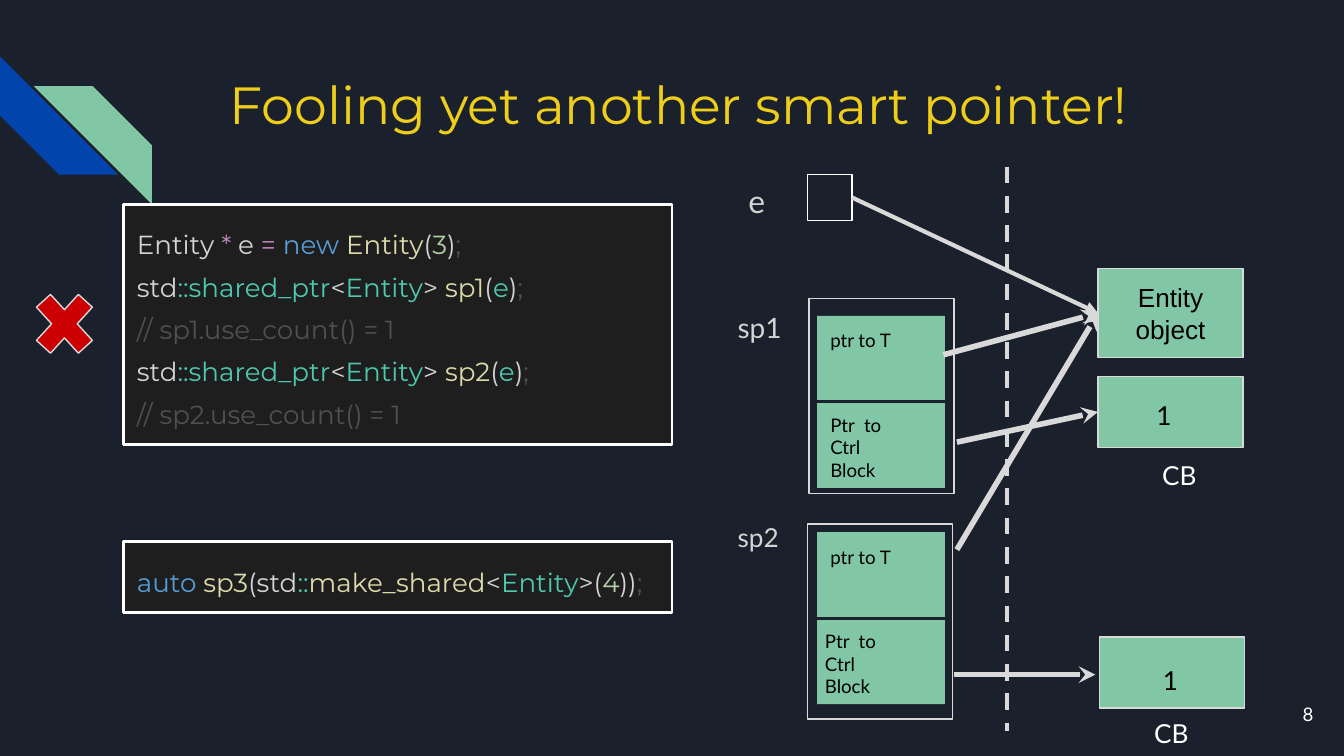
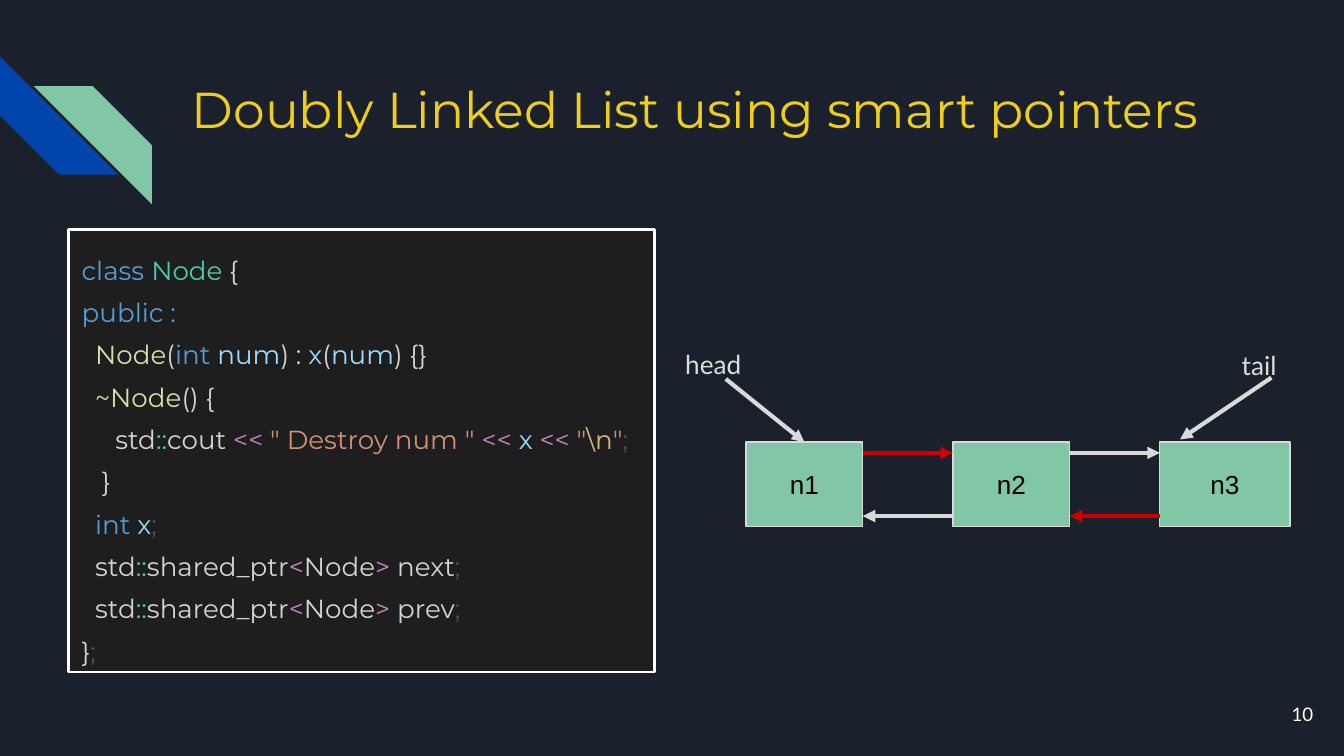
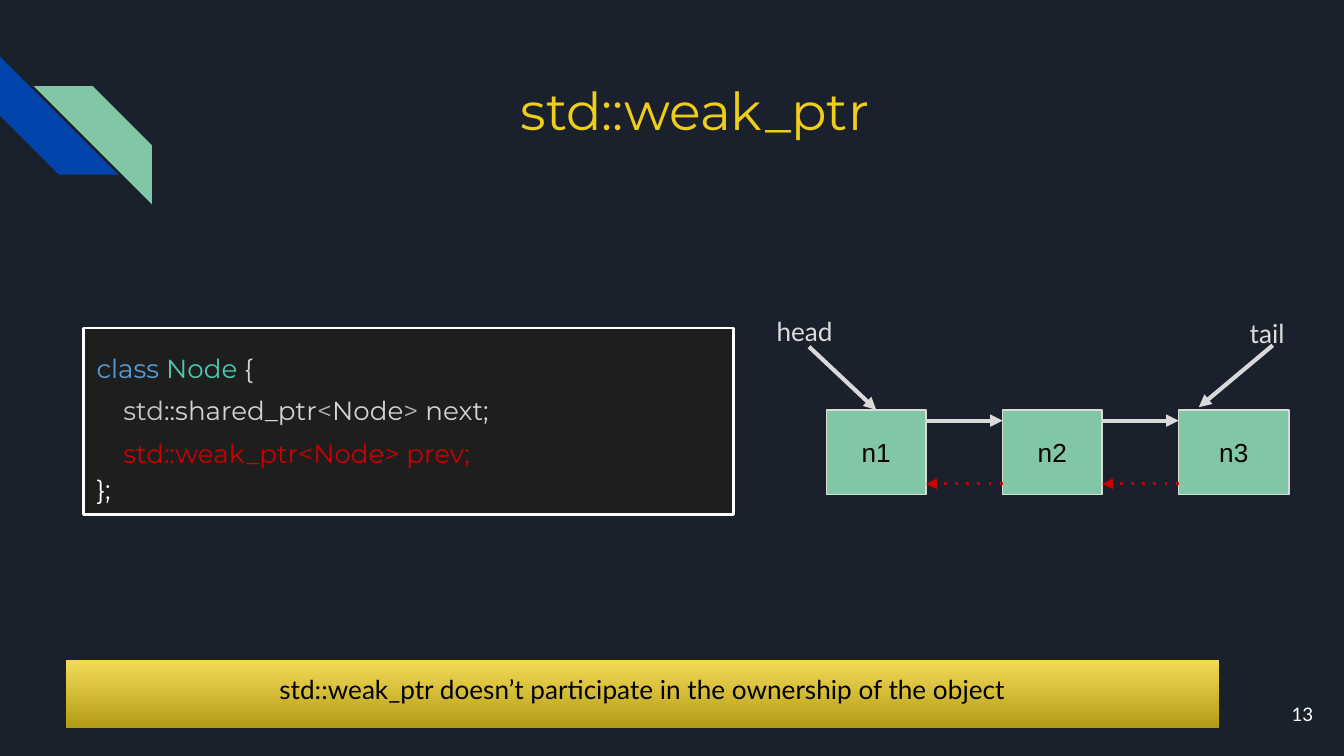
from lxml.etree import SubElement
from pptx import Presentation
from pptx.dml.color import RGBColor
from pptx.enum.shapes import MSO_CONNECTOR, MSO_SHAPE
from pptx.enum.text import MSO_ANCHOR, PP_ALIGN
from pptx.oxml.ns import qn
from pptx.util import Inches, Pt

COLORS = {
    "background": "1B212C", "blue": "0145AC", "green": "82C7A5",
    "title": "EECE1A", "white": "FFFFFF", "black": "000000",
    "line": "D9D9D9", "red": "CC0000", "label": "DCDCDC",
    "gold_top": "F3DB58", "gold_bottom": "B39B15", "code_box": "1E1E1E",
    "plain": "D4D4D4", "operator": "C586C0", "keyword": "569CD6",
    "function": "DCDCAA", "number": "B5CEA8", "faint": "505050",
    "type": "4EC9B0", "variable": "9CDCFE", "string": "CE9178",
    "escape": "D7BA7D", "scope": "C8C8C8", "bracket": "B4B4B4",
}
TITLE_FONT = CODE_FONT = "Montserrat"
LABEL_FONT = "Lato"
NODE_FONT = "Arial"
TOP, MIDDLE = MSO_ANCHOR.TOP, MSO_ANCHOR.MIDDLE
LEFT, CENTER, RIGHT = PP_ALIGN.LEFT, PP_ALIGN.CENTER, PP_ALIGN.RIGHT
SITE_TOP, SITE_LEFT, SITE_RIGHT = 0, 1, 3
INDENT_STEP = 0.05
CODE_SPACING = 1.35


def shared_pointer(name):
    return [("std", "plain"), ("::shared_ptr", "type"), ("<", "plain"),
            ("Entity", "type"), ("> ", "plain"), (name, "function"),
            ("(", "plain"), ("e", "type"), (")", "plain"), (";", "faint")]


def member(name):
    return [("std", "plain"), ("::", "type"), ("shared_ptr", "plain"),
            ("<", "operator"), ("Node", "plain"), (">", "operator"),
            (" " + name, "plain"), (";", "faint")]


# Every code line is (indent steps, [(text, colour), ...]).
CLASS_LINE = (0, [("class ", "keyword"), ("Node ", "type"), ("{", "plain")])
FOOLING_CODE = [
    (0, [("Entity ", "plain"), ("*", "operator"), (" e ", "plain"),
         ("=", "operator"), (" ", "plain"), ("new ", "keyword"),
         ("Entity", "function"), ("(", "plain"), ("3", "number"),
         (")", "plain"), (";", "faint")]),
    (0, shared_pointer("sp1")),
    (0, [("// sp1.use_count() = 1", "faint")]),
    (0, shared_pointer("sp2")),
    (0, [("// sp2.use_count() = 1", "faint")]),
]
MAKE_SHARED_CODE = [
    (0, [("auto ", "keyword"), ("sp3", "function"), ("(std", "plain"),
         ("::", "type"), ("make_shared", "function"), ("<", "plain"),
         ("Entity", "type"), (">(", "plain"), ("4", "number"),
         ("))", "plain"), (";", "faint")]),
]
NODE_CODE = [
    CLASS_LINE,
    (0, [("public :", "keyword")]),
    (2, [("Node", "function"), ("(", "plain"), ("int ", "keyword"),
         ("num", "variable"), (") : ", "plain"), ("x", "variable"),
         ("(", "plain"), ("num", "variable"), (") {}", "plain")]),
    (2, [("~Node", "function"), ("() {", "plain")]),
    (5, [("std", "plain"), ("::", "type"), ("cout ", "plain"),
         ("<< ", "operator"), ('" Destroy num "', "string"),
         (" << ", "operator"), ("x", "variable"), (" << ", "operator"),
         ('"', "string"), ("\\n", "escape"), ('"', "string"), (";", "faint")]),
    (3, [("}", "plain")]),
    (2, [("int ", "keyword"), ("x", "variable"), (";", "faint")]),
    (2, member("next")),
    (2, member("prev")),
    (0, [("}", "plain"), (";", "faint")]),
]
WEAK_CODE = [
    CLASS_LINE,
    (4, [("std", "scope"), ("::shared_ptr", "plain"), ("<", "bracket"),
         ("Node", "plain"), (">", "bracket"), (" next;", "plain")]),
    (4, [("std::weak_ptr<Node> prev;", "red")]),
    (0, [("};", "white")]),
]

# name, name size, name top, outline (left, top), cells top, lower text (left, top)
SMART_POINTERS = [
    ("sp1", 15, 2.21, (6.02, 2.22), 2.35, (6.08, 2.98)),
    ("sp2", 14, 3.78, (6.01, 3.9), 3.96, (6.04, 4.59)),
]
# block (left, top), count (left, top), caption (left, top)
CONTROL_BLOCKS = [
    ((8.17, 2.8), (8.33, 2.87), (8.42, 3.32)),
    ((8.18, 4.74), (8.38, 4.84), (8.36, 5.24)),
]
STRONG_LIST = {
    "left": 5.55, "top": 3.29, "step": 1.54, "widths": (0.87, 0.87, 0.97),
    "head_label": 5, "tail_label": 9.14, "head_arrow": 5.4, "tail_arrow": 9.46,
    "next": ("red", "line"), "prev": ("line", "red"), "prev_style": (2.25, None),
}
WEAK_LIST = {
    "left": 6.15, "top": 3.05, "step": 1.31, "widths": (0.74, 0.74, 0.82),
    "head_label": 5.68, "tail_label": 9.2, "head_arrow": 6.02, "tail_arrow": 9.47,
    "next": ("line", "line"), "prev": ("red", "red"), "prev_style": (1.5, "dot"),
}


def rgb(name):
    return RGBColor.from_string(COLORS[name])


def add_shape(slide, frame, fill=None, line=None, weight=0.75,
              kind=MSO_SHAPE.RECTANGLE):
    shape = slide.shapes.add_shape(kind, *map(Inches, frame))
    shape.shadow.inherit = False
    if fill:
        shape.fill.solid()
        shape.fill.fore_color.rgb = rgb(fill)
    else:
        shape.fill.background()
    if line:
        shape.line.color.rgb = rgb(line)
        shape.line.width = Pt(weight)
    else:
        shape.line.fill.background()
    return shape


def prepare_text(shape, anchor):
    text_frame = shape.text_frame
    text_frame.word_wrap = True
    text_frame.vertical_anchor = anchor
    text_frame.margin_left = text_frame.margin_right = Inches(0.1)
    text_frame.margin_top = text_frame.margin_bottom = Inches(0.1)
    return text_frame


def style_run(span, size, font, color):
    span.font.size = Pt(size)
    span.font.name = font
    span.font.color.rgb = rgb(color)


def write(shape, text, size, font=LABEL_FONT, color="black", align=LEFT, anchor=TOP):
    text_frame = prepare_text(shape, anchor)
    text_frame.text = text
    para = text_frame.paragraphs[0]
    para.alignment = align
    style_run(para.runs[0], size, font, color)


def add_text(slide, frame, text, size, **style):
    write(slide.shapes.add_textbox(*map(Inches, frame)), text, size, **style)


def add_code(slide, frame, lines, last_spacing=CODE_SPACING):
    box = add_shape(slide, frame, "code_box", "white", 1.5)
    text_frame = prepare_text(box, TOP)
    for index, (indent, spans) in enumerate(lines):
        para = text_frame.add_paragraph() if index else text_frame.paragraphs[0]
        para.alignment = LEFT
        para.line_spacing = CODE_SPACING if index < len(lines) - 1 else last_spacing
        properties = para._p.get_or_add_pPr()
        properties.set("marL", str(Inches(indent * INDENT_STEP)))
        properties.set("indent", "0")
        for text, color in spans:
            span = para.add_run()
            span.text = text
            style_run(span, 14, CODE_FONT, color)


def add_line(slide, start, end, color="line", weight=2.25, dash=None, head=None,
             begin_at=None, end_at=None):
    """Draw a line; begin_at and end_at are (shape, connection site) pairs."""
    line = slide.shapes.add_connector(
        MSO_CONNECTOR.STRAIGHT, *map(Inches, (*start, *end)))
    if begin_at:
        line.begin_connect(*begin_at)
    if end_at:
        line.end_connect(*end_at)
    line.line.color.rgb = rgb(color)
    line.line.width = Pt(weight)
    properties = line._element.spPr
    outline = properties.find(qn("a:ln"))
    if dash:
        SubElement(outline, qn("a:prstDash"), val=dash)
    if head:
        SubElement(outline, qn("a:tailEnd"), type=head)
    SubElement(properties, qn("a:effectLst"))


def add_page(deck, title, number, frame=(1.32, 0.48, 7.7, 0.63), size=28):
    slide = deck.slides.add_slide(deck.slide_layouts[6])
    slide.background.fill.solid()
    slide.background.fill.fore_color.rgb = rgb("background")
    stripe = MSO_SHAPE.DIAGONAL_STRIPE
    add_shape(slide, (0, 0.42, 0.88, 0.88), "blue", kind=stripe).rotation = 270
    green_stripe = add_shape(slide, (0.25, 0.64, 0.88, 0.88), "green", kind=stripe)
    green_stripe._element.spPr.xfrm.set("flipH", "1")
    add_text(slide, frame, title, size, font=TITLE_FONT, color="title", align=CENTER)
    add_text(slide, (9.27, 5.1, 0.6, 0.43), str(number), 10, color="white",
             align=RIGHT, anchor=MIDDLE)
    return slide


def add_node(slide, frame, text):
    node = add_shape(slide, frame, "green", "line")
    write(node, text, 14, font=NODE_FONT, align=CENTER, anchor=MIDDLE)
    return node


def add_smart_pointer(slide, name, size, name_top, outline, cells_top, lower_text):
    add_text(slide, (5.39, name_top, 0.66, 0.53), name, size, color="plain")
    cells = add_shape(slide, (6.08, cells_top, 0.95, 1.28), "green")
    write(cells, "ptr to T", 10)
    middle = cells_top + 0.64
    add_line(slide, (6.08, middle), (7.03, middle), "background", 1.5)
    add_text(slide, (*lower_text, 0.66, 0.46), "Ptr  to Ctrl Block", 10)
    add_shape(slide, (*outline, 1.08, 1.45), line="line")


def add_control_block(slide, place, count, caption):
    block = add_shape(slide, (*place, 1.08, 0.53), "green", "line")
    add_text(slide, (*count, 0.66, 0.32), "1", 14, align=CENTER)
    add_text(slide, (*caption, 0.71, 0.34), "CB", 14, color="white", align=CENTER)
    return block


def add_linked_list(slide, chain):
    top, widths = chain["top"], chain["widths"]
    lefts = [chain["left"] + index * chain["step"] for index in range(len(widths))]
    nodes = [add_node(slide, (left, top, width, 0.63), f"n{number}")
             for number, (left, width) in enumerate(zip(lefts, widths), 1)]
    next_y, prev_y = top + 0.08, top + 0.55
    prev_weight, prev_dash = chain["prev_style"]
    for index, (next_color, prev_color) in enumerate(zip(chain["next"], chain["prev"])):
        gap_left, gap_right = lefts[index] + widths[index], lefts[index + 1]
        add_line(slide, (gap_left, next_y), (gap_right, next_y), next_color,
                 head="triangle")
        add_line(slide, (gap_right, prev_y), (gap_left, prev_y), prev_color,
                 prev_weight, prev_dash, "triangle")
    add_text(slide, (chain["head_label"], top - 0.8, 0.8, 0.33), "head", 14,
             color="label")
    add_text(slide, (chain["tail_label"], top - 0.79, 0.65, 0.31), "tail", 14,
             color="label")
    add_line(slide, (chain["head_arrow"], top - 0.47), (lefts[0], top),
             head="triangle", end_at=(nodes[0], SITE_TOP))
    add_line(slide, (chain["tail_arrow"], top - 0.48), (lefts[-1] + 0.15, top - 0.02),
             head="triangle")


def build_fooling_page(deck):
    slide = add_page(deck, "Fooling yet another smart pointer!", 8,
                     (1.2, 0.44, 7.7, 0.66))
    add_code(slide, (0.92, 1.52, 4.08, 1.79), FOOLING_CODE)
    add_code(slide, (0.92, 4.03, 4.08, 0.53), MAKE_SHARED_CODE)
    cross = add_shape(slide, (0.18, 2.08, 0.6, 0.66), "red", "line",
                      kind=MSO_SHAPE.MATH_MULTIPLY)
    cross.adjustments[0] = 0.235

    for pointer in SMART_POINTERS:
        add_smart_pointer(slide, *pointer)
    add_text(slide, (5.47, 1.25, 0.41, 0.43), "e", 17, color="plain")
    raw_pointer = add_shape(slide, (6.01, 1.3, 0.33, 0.34), line="white")
    entity = add_node(slide, (8.17, 2, 1.08, 0.66), "Entity object")
    first_block, _ = [add_control_block(slide, *block) for block in CONTROL_BLOCKS]

    entity_side = (8.17, 2.33)
    stealth = {"weight": 3, "head": "stealth"}
    add_line(slide, (7.02, 2.64), entity_side, end_at=(entity, SITE_LEFT), **stealth)
    add_line(slide, (7.12, 3.29), (8.17, 3.06), end_at=(first_block, SITE_LEFT),
             **stealth)
    add_line(slide, (7.1, 5.02), (8.15, 5.02), **stealth)
    add_line(slide, (7.12, 4.09), entity_side, end_at=(entity, SITE_LEFT), **stealth)
    add_line(slide, (6.34, 1.47), entity_side, head="triangle",
             begin_at=(raw_pointer, SITE_RIGHT), end_at=(entity, SITE_LEFT))
    add_line(slide, (7.49, 1.24), (7.49, 5.44), dash="dash")


def build_strong_list_page(deck):
    slide = add_page(deck, "Doubly Linked List using smart pointers", 10, size=27)
    add_code(slide, (0.51, 1.71, 4.36, 3.29), NODE_CODE)
    add_linked_list(slide, STRONG_LIST)


def build_weak_list_page(deck):
    slide = add_page(deck, "std::weak_ptr", 13)
    add_code(slide, (0.62, 2.44, 4.84, 1.39), WEAK_CODE, last_spacing=1.15)
    add_linked_list(slide, WEAK_LIST)
    banner = add_shape(slide, (0.49, 4.91, 8.58, 0.51))
    banner.fill.gradient()
    banner.fill.gradient_angle = 270
    for stop, color in zip(banner.fill.gradient_stops, ("gold_top", "gold_bottom")):
        stop.color.rgb = rgb(color)
    write(banner, "std::weak_ptr doesn’t participate in the ownership of the object",
          14, align=CENTER)


def main():
    deck = Presentation()
    deck.slide_width = Inches(10)
    deck.slide_height = deck.slide_width * 9 // 16
    build_fooling_page(deck)
    build_strong_list_page(deck)
    build_weak_list_page(deck)
    deck.save("out.pptx")


if __name__ == "__main__":
    main()
